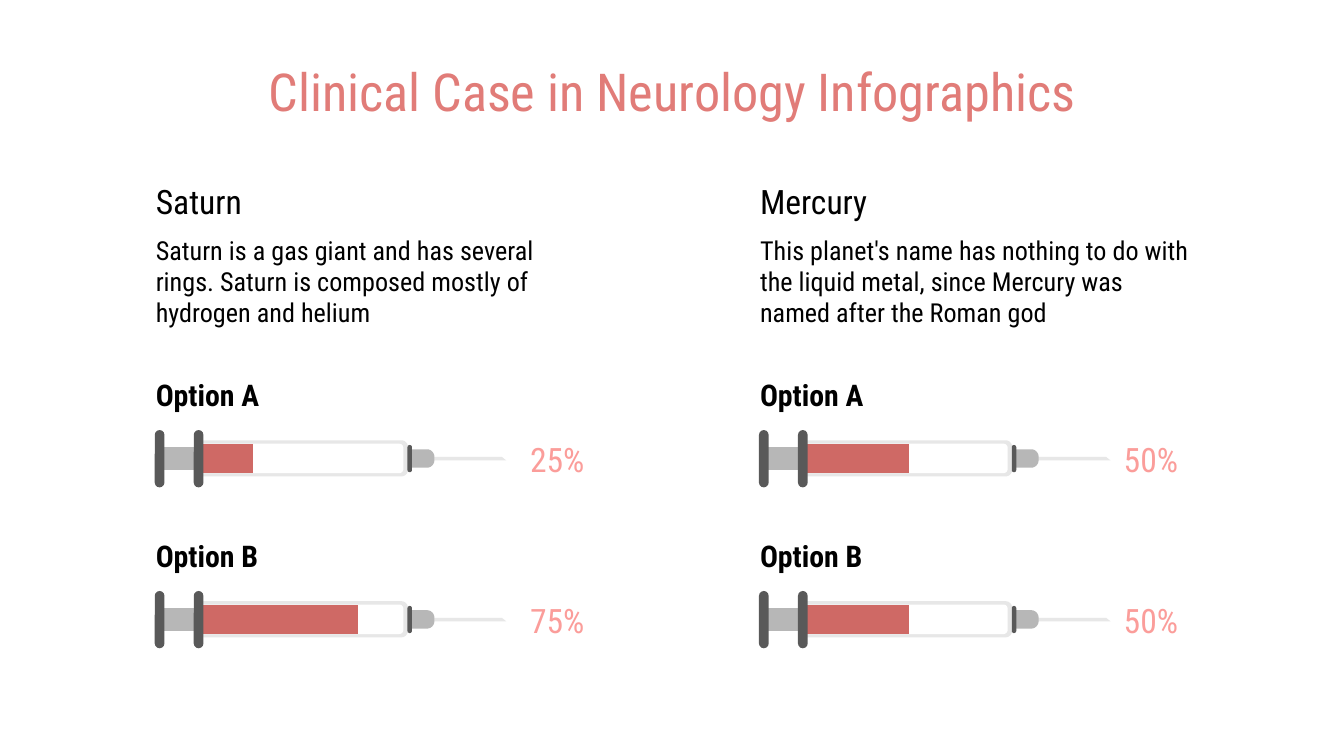
from math import cos, pi, sin
from pptx import Presentation
from pptx.dml.color import RGBColor
from pptx.enum.shapes import MSO_SHAPE
from pptx.enum.text import MSO_ANCHOR, PP_ALIGN
from pptx.util import Pt

COLORS = {
    "title": "E17C78", "text": "000000", "value": "FB9D9A", "fluid": "CF6965",
    "grip": "595959", "rod": "B7B7B7", "glass": "E7E7E7", "inside": "FFFFFF",
}

deck = Presentation()
deck.slide_width, deck.slide_height = Pt(720), Pt(405)
slide = deck.slides.add_slide(deck.slide_layouts[6])
shapes = slide.shapes


def write(text, x, y, w, h, size, color="text", bold=False, align=PP_ALIGN.LEFT):
    frame = shapes.add_textbox(Pt(x), Pt(y), Pt(w), Pt(h)).text_frame
    frame.word_wrap = True
    frame.vertical_anchor = MSO_ANCHOR.MIDDLE
    frame.margin_left = frame.margin_right = Pt(7.2)
    frame.margin_top = frame.margin_bottom = Pt(7.2)
    para = frame.paragraphs[0]
    para.alignment = align
    run = para.add_run()
    run.text = text
    run.font.name, run.font.size, run.font.bold = "Roboto Condensed", Pt(size), bold
    run.font.color.rgb = RGBColor.from_string(COLORS[color])


def draw(points, color):
    # Freeform units are hundredths of a point
    dots = [(round(x * 100), round(y * 100)) for x, y in points]
    pen = shapes.build_freeform(*dots[0], scale=Pt(1) / 100)
    pen.add_line_segments(dots[1:], close=True)
    shape = pen.convert_to_shape()
    shape.shadow.inherit = False
    shape.fill.solid()
    shape.fill.fore_color.rgb = RGBColor.from_string(COLORS[color])
    shape.line.fill.background()


# Title
write("Clinical Case in Neurology Infographics", 36, 33.1, 648, 31, 28, "title",
      align=PP_ALIGN.CENTER)

# Syringe parts: x, y, width, height, radius of the right corners, color
PARTS = [
    (5, 9.2, 16, 12, 0, "rod"),
    (136.8, 10.3, 13, 9.9, 4, "rod"),
    (25.2, 5.5, 110.5, 19.4, 3.6, "glass"),
    (25.9, 7.3, 107.3, 15.8, 2.2, "inside"),
]
# Rounded bars: x, y, width, height
BARS = [(0, 0, 5.2, 30.7), (20.9, 0, 5.2, 30.7), (135.4, 8, 2.4, 14.6)]
NEEDLE = [(142.6, 14.4), (142.6, 16.3), (188.4, 16.3), (186, 14.4)]

COLUMNS = [
    ("Saturn", "Saturn is a gas giant and has several rings. "
     "Saturn is composed mostly of hydrogen and helium", (25, 75), PP_ALIGN.RIGHT),
    ("Mercury", "This planet's name has nothing to do with the liquid metal, "
     "since Mercury was named after the Roman god", (50, 50), PP_ALIGN.LEFT),
]

for col, (name, about, levels, align) in enumerate(COLUMNS):
    left = 76.4 + 323.7 * col

    # Column heading and description
    write(name, left, 94.4, 94.5, 26.6, 18)
    write(about, left, 121, 244, 59, 14)

    for row, level in enumerate(levels):
        x0, y0 = left + 6.5, 230.4 + 86.2 * row
        write(f"Option {'AB'[row]}", left, y0 - 32.4, 94.5, 26.6, 16, bold=True)
        write(f"{level}%", left + 194.8, y0 + 2.2, 49, 26.6, 18, "value", align=align)

        # Needle, rod, hub and barrel, then the fluid
        draw([(x0 + x, y0 + y) for x, y in NEEDLE], "glass")
        fluid = (25.9, 7.3, 26.6 + 28.1 * (level / 25 - 1), 15.8, 0, "fluid")
        for x, y, w, h, r, color in PARTS + [fluid]:
            x, y = x0 + x, y0 + y
            turns = [pi / 2 * k / 6 for k in range(7)] if r else [0]
            low = [(x + w - r + r * sin(a), y + h - r + r * cos(a)) for a in turns]
            top = [(px, 2 * y + h - py) for px, py in reversed(low)]
            draw([(x, y), (x, y + h)] + low + top, color)

        # Grips and collar
        for x, y, w, h in BARS:
            bar = shapes.add_shape(MSO_SHAPE.ROUNDED_RECTANGLE,
                                   Pt(x0 + x), Pt(y0 + y), Pt(w), Pt(h))
            bar.adjustments[0] = 0.5
            bar.shadow.inherit = False
            bar.fill.solid()
            bar.fill.fore_color.rgb = RGBColor.from_string(COLORS["grip"])
            bar.line.fill.background()

deck.save("out.pptx")
